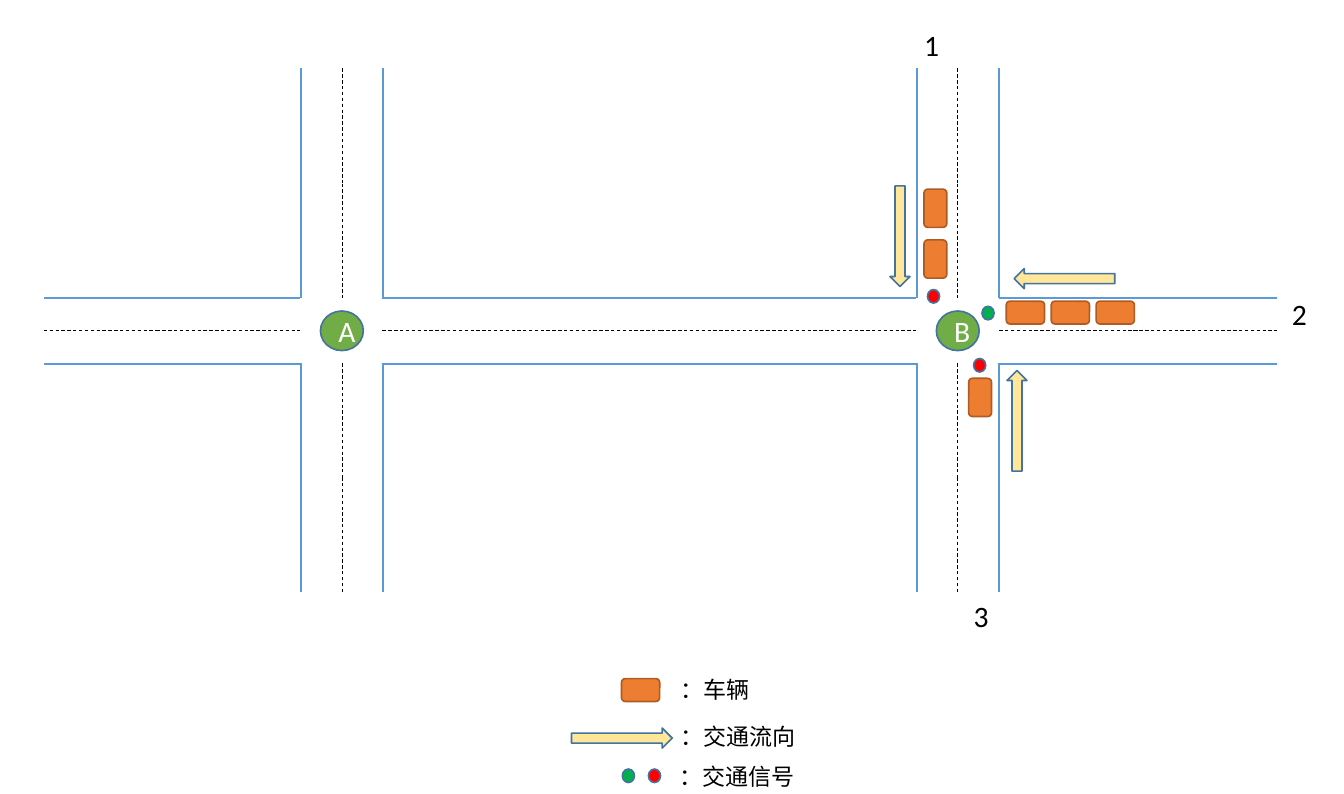
from lxml import etree
from pptx import Presentation
from pptx.dml.color import RGBColor
from pptx.enum.dml import MSO_LINE
from pptx.enum.shapes import MSO_CONNECTOR, MSO_SHAPE
from pptx.enum.text import MSO_ANCHOR, MSO_AUTO_SIZE, PP_ALIGN
from pptx.oxml.ns import qn
from pptx.util import Cm, Pt

CAR = MSO_SHAPE.ROUNDED_RECTANGLE
ARROW = MSO_SHAPE.DOWN_ARROW
OVAL = MSO_SHAPE.OVAL
STRAIGHT = MSO_CONNECTOR.STRAIGHT
DASH = MSO_LINE.DASH
MIDDLE = MSO_ANCHOR.MIDDLE
CENTER = PP_ALIGN.CENTER
GROW = MSO_AUTO_SIZE.SHAPE_TO_FIT_TEXT

BLACK, WHITE, EDGE = "000000", "FFFFFF", "43739E"
RED, GREEN = "FF0000", "00B050"

# All lengths are in centimetres.
NODES = [("A", 7.34), ("B", 20.56)]
MID_Y = 7.1
HALF_X, HALF_Y = 0.88, 0.71
SPANS_X = [(0.94, 3.4), (3.36, 6.45), (8.21, 11.3), (11.1, 14.18),
           (14.18, 16.63), (16.58, 19.66), (21.45, 24.52), (24.33, 27.41)]
SPANS_Y = [(1.47, 3.94), (3.94, 6.4), (7.8, 10.26), (10.24, 12.7)]

CARS = [(20.08, 4.47, 0), (20.08, 5.56, 0), (21.04, 8.53, 0),
        *[(22.01 + 0.965 * i, 6.71, 90) for i in range(3)],
        (13.75, 14.81, 90)]
FLOWS = [(19.32, 5.07, 0), (22.85, 5.98, 90), (21.83, 9.03, 180),
         (13.35, 15.84, 270)]
LIGHTS = [(20.04, 6.36, RED), (21.21, 6.72, GREEN), (21.03, 7.84, RED),
          (13.49, 16.65, GREEN), (14.05, 16.65, RED)]
LABELS = [("1", 19.76, 0.46, 0.33, 1.02, 18),
          ("2", 27.48, 6.22, 0.81, 1.02, 18),
          ("3", 20.65, 12.7, 0.76, 1.02, 18),
          ("：车辆", 14.35, 14.38, 3, 0.86, 14),
          ("：交通流向", 14.35, 15.39, 3, 0.86, 14),
          ("：交通信号", 14.33, 16.23, 3, 0.86, 14)]


def color(code):
    return RGBColor.from_string(code)


def add_run(par, text, size, code):
    run = par.add_run()
    run.text = text
    run.font.name = "Calibri"
    run.font.size = Pt(size)
    run.font.color.rgb = color(code)


def add_lane(slide, start, end, dashed):
    line = slide.shapes.add_connector(
        STRAIGHT, *[Cm(value) for value in (*start, *end)])
    line.line.color.rgb = color(BLACK if dashed else "5B9BD5")
    line.line.width = Pt(0.5 if dashed else 1.5)
    if dashed:
        line.line.dash_style = DASH
    props = line._element.find(qn("p:spPr"))
    etree.SubElement(props, qn("a:effectLst"))


def add_roads(slide):
    """Draw two edges and a dashed centre line along every road span."""
    for side in (-1, 0, 1):
        y = MID_Y + side * HALF_Y
        for left, right in SPANS_X:
            add_lane(slide, (left, y), (right, y), side == 0)
        for _, mid in NODES:
            x = mid + side * HALF_X
            for top, foot in SPANS_Y:
                add_lane(slide, (x, top), (x, foot), side == 0)


def add_mark(slide, kind, x, y, size, fill, edge=EDGE, turn=0):
    """Place a filled shape with its centre at x, y."""
    wide, high = size
    mark = slide.shapes.add_shape(
        kind, Cm(x - wide / 2), Cm(y - high / 2), Cm(wide), Cm(high))
    mark.rotation = turn
    mark.shadow.inherit = False
    mark.fill.solid()
    mark.fill.fore_color.rgb = color(fill)
    mark.line.color.rgb = color(edge)
    mark.line.width = Pt(1)
    return mark


def add_node(slide, name, x):
    node = add_mark(slide, OVAL, x, MID_Y, (0.92, 0.85), "70AD47")
    frame = node.text_frame
    frame.word_wrap = True
    frame.vertical_anchor = MIDDLE
    par = frame.paragraphs[0]
    par.alignment = CENTER
    add_run(par, name, 18, WHITE)


def add_label(slide, text, left, top, wide, high, size):
    box = slide.shapes.add_textbox(Cm(left), Cm(top), Cm(wide), Cm(high))
    frame = box.text_frame
    frame.word_wrap = True
    frame.auto_size = GROW
    add_run(frame.paragraphs[0], text, size, BLACK)


def main():
    deck = Presentation()
    deck.slide_width, deck.slide_height = Cm(28.85), Cm(17.04)
    slide = deck.slides.add_slide(deck.slide_layouts[6])
    add_roads(slide)
    for name, x in NODES:
        add_node(slide, name, x)
    for x, y, turn in CARS:
        add_mark(slide, CAR, x, y, (0.49, 0.82), "ED7D31", "AF5C24", turn)
    for x, y, turn in FLOWS:
        add_mark(slide, ARROW, x, y, (0.43, 2.16), "FFE699", turn=turn)
    for x, y, fill in LIGHTS:
        add_mark(slide, OVAL, x, y, (0.26, 0.29), fill)
    for label in LABELS:
        add_label(slide, *label)
    deck.save("out.pptx")


if __name__ == "__main__":
    main()
